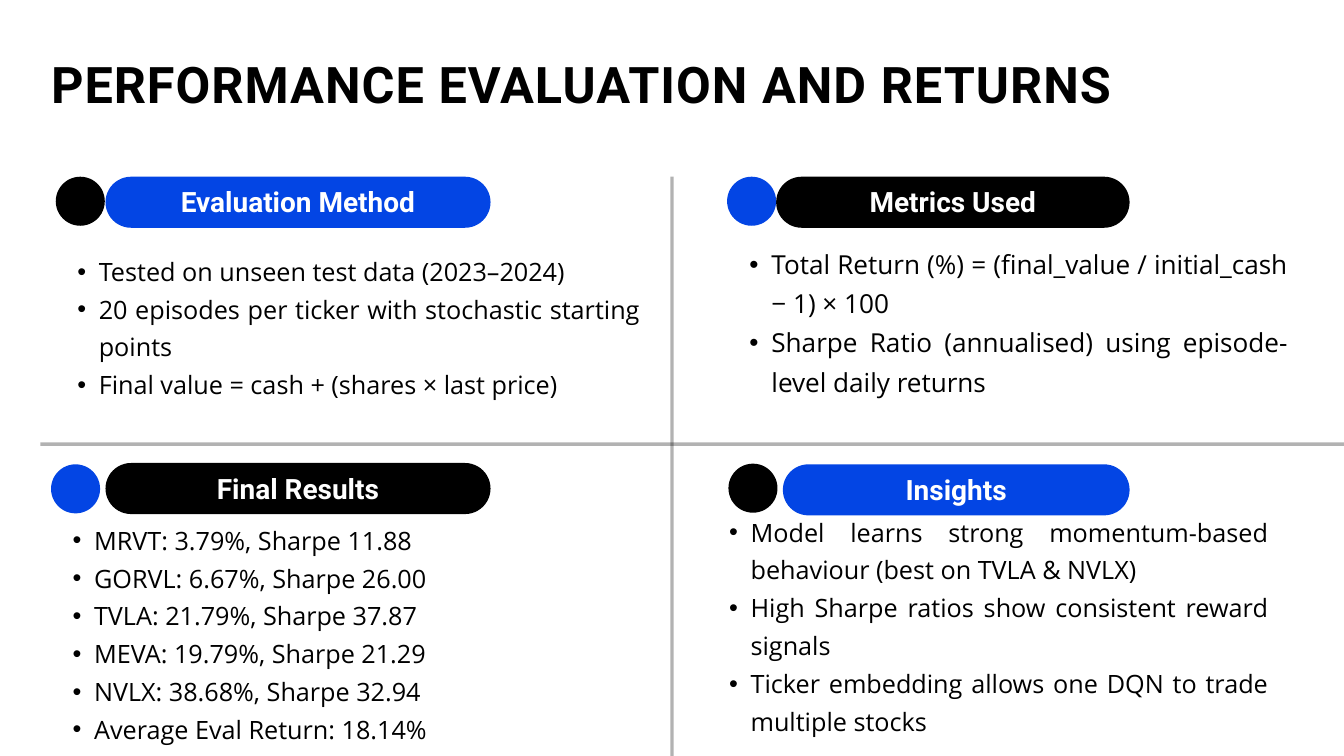
from lxml import etree
from pptx import Presentation
from pptx import util as u
from pptx.dml.color import RGBColor
from pptx.enum import shapes, text
from pptx.oxml.ns import qn

PX = 9144
W, H = 2000, 1125
MID_X, MID_Y, LEFT = 1000, 661, 60
COLORS = {"black": "000000", "blue": "0345E4", "white": "FFFFFF"}

PANELS = [
    {
        "box": (LEFT, 263, MID_X - LEFT, MID_Y - 263),
        "title": "Evaluation Method", "dot": (23, 0), "dot_color": "black",
        "pill": (97, 0, 573), "pill_color": "blue",
        "list": (23, 107, 869, 274), "size": 27, "indent": 32,
        "items": ["Tested on unseen test data (2023–2024)",
                  "20 episodes per ticker with stochastic starting points",
                  "Final value = cash + (shares × last price)"],
    },
    {
        "box": (MID_X, 263, W - MID_X, MID_Y - 263),
        "title": "Metrics Used", "dot": (82, 0), "dot_color": "blue",
        "pill": (155, 0, 526), "pill_color": "black",
        "list": (82, 95, 834, 277), "size": 28, "indent": 33,
        "items": ["Total Return (%) = (final_value / initial_cash − 1) × 100",
                  "Sharpe Ratio (annualised) using episode-level daily returns"],
    },
    {
        "box": (LEFT, MID_Y, MID_X - LEFT, H - MID_Y),
        "title": "Final Results", "dot": (16, 30), "dot_color": "blue",
        "pill": (97, 28, 573), "pill_color": "black",
        "list": (16, 109, 842, 378), "size": 27, "indent": 32,
        "items": ["MRVT: 3.79%, Sharpe 11.88",
                  "GORVL: 6.67%, Sharpe 26.00",
                  "TVLA: 21.79%, Sharpe 37.87",
                  "MEVA: 19.79%, Sharpe 21.29",
                  "NVLX: 38.68%, Sharpe 32.94",
                  "Average Eval Return: 18.14%"],
    },
    {
        "box": (MID_X, MID_Y, W - MID_X, H - MID_Y),
        "title": "Insights", "dot": (84, 29), "dot_color": "black",
        "pill": (165, 30, 516), "pill_color": "blue",
        "list": (53, 97, 834, 378), "size": 27, "indent": 32,
        "items": ["Model learns strong momentum-based behaviour (best on TVLA & NVLX)",
                  "High Sharpe ratios show consistent reward signals",
                  "Ticker embedding allows one DQN to trade multiple stocks"],
    },
]


def rgb(name):
    """Return the named colour."""
    return RGBColor.from_string(COLORS[name])


def emu(*px):
    """Turn px lengths into EMU."""
    return [u.Emu(v * PX) for v in px]


def apply(obj, values):
    """Set each attribute of obj from a dict of format values."""
    for name, value in values.items():
        setattr(obj, name, value)


def set_frame(tf, margins=(0, 0, 0, 0), **values):
    """Set wrapping and the left, top, right and bottom margins of a text frame."""
    sides = ("margin_left", "margin_top", "margin_right", "margin_bottom")
    apply(tf, {"word_wrap": True, **dict(zip(sides, emu(*margins))), **values})


def write(p, words, size, font, color, spacing, **values):
    """Write one styled run into a paragraph and return the run."""
    p.line_spacing = u.Pt(spacing)
    r = p.add_run()
    r.text = words
    apply(r.font, {"size": u.Pt(size), "name": font, **values})
    r.font.color.rgb = rgb(color)
    return r


def add_solid(s, kind, box, color):
    """Add a filled shape without outline or shadow."""
    sp = s.shapes.add_shape(kind, *emu(*box))
    sp.shadow.inherit = False
    sp.fill.solid()
    sp.fill.fore_color.rgb = rgb(color)
    sp.line.fill.background()
    return sp


def add_rule(s, x1, y1, x2, y2):
    """Add a translucent dividing line."""
    ln = s.shapes.add_connector(shapes.MSO_CONNECTOR.STRAIGHT, *emu(x1, y1, x2, y2))
    ln.line.width = u.Pt(3.75)
    ln.line.color.rgb = rgb("black")
    clr = ln.line._get_or_add_ln().find(".//" + qn("a:srgbClr"))
    etree.SubElement(clr, qn("a:alpha"), val="30000")
    etree.SubElement(ln._element.spPr, qn("a:effectLst"))


def add_title(s, box, words):
    """Add the slide title."""
    tf = s.shapes.add_textbox(*emu(*box)).text_frame
    set_frame(tf, auto_size=text.MSO_AUTO_SIZE.SHAPE_TO_FIT_TEXT)
    r = write(tf.paragraphs[0], words, 54, "Roboto", "black", 75.6, bold=True)
    r.font._element.set("spc", "110")


def add_bullets(s, box, items, size, indent):
    """Add a justified bullet list."""
    tf = s.shapes.add_textbox(*emu(*box)).text_frame
    set_frame(tf, auto_size=text.MSO_AUTO_SIZE.SHAPE_TO_FIT_TEXT)
    for i, item in enumerate(items):
        p = tf.add_paragraph() if i else tf.paragraphs[0]
        apply(p, {"alignment": text.PP_ALIGN.JUSTIFY, "level": 1})
        write(p, item, size, "Open Sans", "black", size * 1.5)
        pPr = p._p.get_or_add_pPr()
        pPr.set("marL", str(2 * indent * PX))
        pPr.set("indent", str(-indent * PX))
        etree.SubElement(pPr, qn("a:buFont"), typeface="Arial")
        etree.SubElement(pPr, qn("a:buChar"), char="•")


def add_panel(s, box, panel):
    """Add a quadrant with its dot, heading pill and bullet list."""
    x, y = box[:2]
    px, py, pw = panel["pill"]
    pill = add_solid(s, shapes.MSO_SHAPE.ROUNDED_RECTANGLE,
                     (x + px, y + py, pw, 76), panel["pill_color"])
    pill.adjustments[0] = 0.5
    tf = pill.text_frame
    set_frame(tf, (6, 0, 6, 10), vertical_anchor=text.MSO_ANCHOR.MIDDLE)
    p = tf.paragraphs[0]
    p.alignment = text.PP_ALIGN.CENTER
    write(p, panel["title"], 30, "Roboto", "white", 42, bold=True)
    dx, dy = panel["dot"]
    add_solid(s, shapes.MSO_SHAPE.OVAL, (x + dx, y + dy, 73, 73), panel["dot_color"])
    lx, ly, lw, lh = panel["list"]
    add_bullets(s, (x + lx, y + ly, lw, lh), panel["items"], panel["size"], panel["indent"])


def main():
    """Build and save the slide."""
    prs = Presentation()
    prs.slide_width, prs.slide_height = emu(W, H)
    s = prs.slides.add_slide(prs.slide_layouts[6])
    add_rule(s, LEFT, MID_Y, W, MID_Y)
    add_rule(s, MID_X, 263, MID_X, H)
    add_title(s, (76, 64, 1860, 101), "PERFORMANCE EVALUATION AND RETURNS")
    for panel in PANELS:
        add_panel(s, panel["box"], panel)
    prs.save("out.pptx")


if __name__ == "__main__":
    main()
